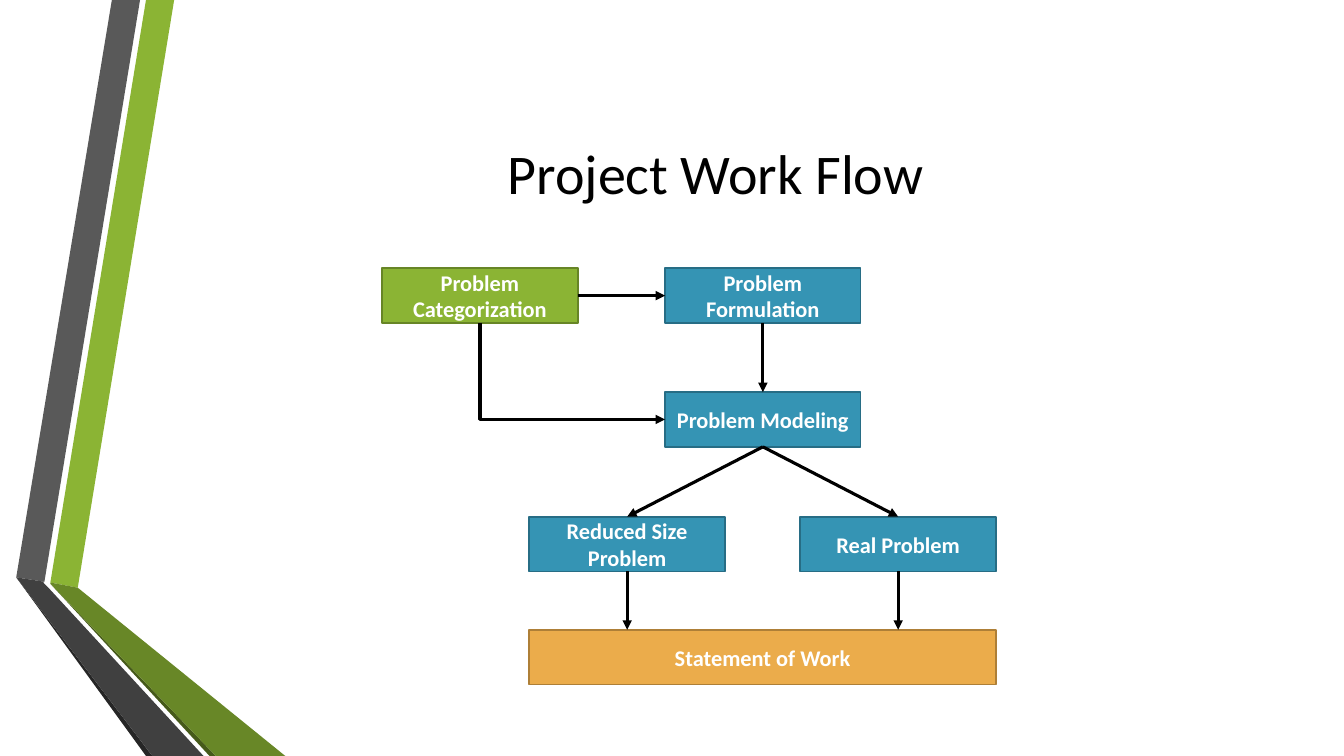
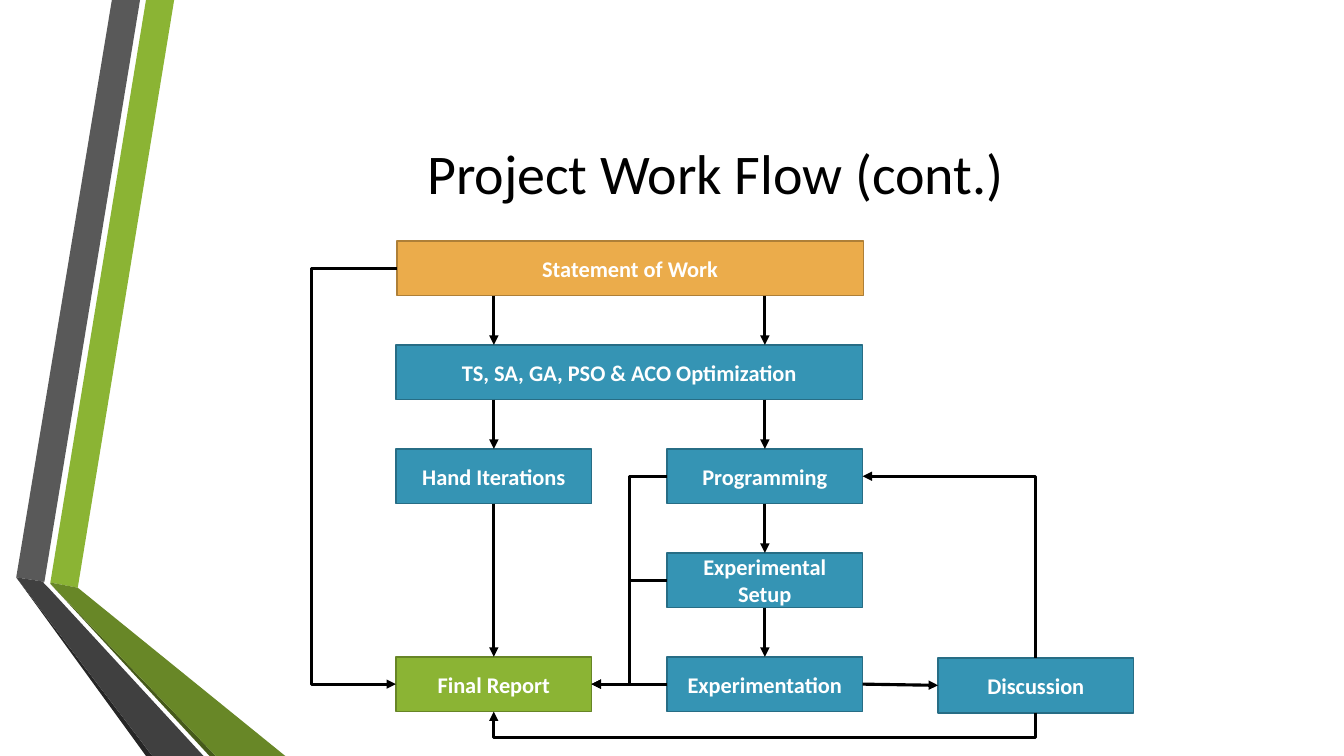
from dataclasses import dataclass

from lxml import etree
from pptx import Presentation
from pptx.dml.color import RGBColor
from pptx.enum.shapes import MSO_CONNECTOR, MSO_SHAPE
from pptx.enum.text import MSO_ANCHOR, PP_ALIGN
from pptx.oxml.ns import qn
from pptx.util import Cm, Pt

RECTANGLE = MSO_SHAPE.RECTANGLE
STRAIGHT, ELBOW = MSO_CONNECTOR.STRAIGHT, MSO_CONNECTOR.ELBOW
MIDDLE, CENTER = MSO_ANCHOR.MIDDLE, PP_ALIGN.CENTER
TITLE_ONLY = 5
TOP, LEFT, BOTTOM, RIGHT = range(4)  # connection sites of a rectangle
CORNER = "corner"


@dataclass(frozen=True)
class Theme:
    """Colours, type sizes and line widths of the deck."""
    font: str = "Calibri"
    title_size: int = 40
    box_size: int = 16
    border: float = 1.25
    arrow: float = 2.25
    ink: str = "000000"
    paper: str = "FFFFFF"
    blue: tuple = ("3594B4", "276D85")
    green: tuple = ("8BB434", "678526")
    orange: tuple = ("EBAC4B", "AE7F37")


THEME = Theme()

# Lengths are in centimetres.
PAGE_WIDTH, PAGE_HEIGHT = 33.87, 19.05
TITLE_FRAME = (4.11, 1.9, 27.84, 4.88)
BOX_WIDTH, WIDE_WIDTH, BOX_HEIGHT = 4.93, 11.76, 1.38

# Ribbon outlines are in hundredths of a centimetre.
RIBBONS = [
    ("8BB434", [(127, 1468), (196, 1481), (439, 0), (368, 0)]),
    ("595959", [(353, 0), (282, 0), (41, 1455), (112, 1466)]),
    ("262626", [(41, 1455), (368, 1905), (384, 1905)]),
    ("465A1A", [(127, 1471), (528, 1905), (544, 1905)]),
    ("688727", [(127, 1471), (544, 1905), (719, 1905), (196, 1481), (127, 1468)]),
    ("404040", [(513, 1905), (122, 1481), (109, 1468), (112, 1466),
                (41, 1455), (384, 1905)]),
]

PLAN_LEFT = 13.34
PLAN_RIGHT = PLAN_LEFT + WIDE_WIDTH - BOX_WIDTH
WORK_LEFT, WORK_TOP, WORK_PITCH = 9.98, 6.07, 2.62
WORK_MIDDLE = WORK_LEFT + WIDE_WIDTH - BOX_WIDTH
WORK_RIGHT = 2 * WORK_MIDDLE - WORK_LEFT
WORK_ROWS = [WORK_TOP + row * WORK_PITCH for row in range(5)]

# Boxes: text, left, top, width, colours.
# Flows: start, end, route. An end is (box, side) or (box, side, box to line up
# with); a route is None, CORNER or the position of the middle leg.
PAGES = [
    {
        "title": "Project Work Flow",
        "boxes": [
            ("Problem Categorization", 9.63, 6.76, BOX_WIDTH, THEME.green),
            ("Problem Formulation", 16.76, 6.76, BOX_WIDTH, THEME.blue),
            ("Problem Modeling", 16.76, 9.88, BOX_WIDTH, THEME.blue),
            ("Reduced Size Problem", PLAN_LEFT, 13.02, BOX_WIDTH, THEME.blue),
            ("Real Problem", PLAN_RIGHT, 13.02, BOX_WIDTH, THEME.blue),
            ("Statement of Work", PLAN_LEFT, 15.87, WIDE_WIDTH, THEME.orange),
        ],
        "flows": [
            (("Problem Categorization", RIGHT), ("Problem Formulation", LEFT), None),
            (("Problem Categorization", BOTTOM), ("Problem Modeling", LEFT), CORNER),
            (("Problem Formulation", BOTTOM), ("Problem Modeling", TOP), None),
            (("Problem Modeling", BOTTOM), ("Reduced Size Problem", TOP), None),
            (("Problem Modeling", BOTTOM), ("Real Problem", TOP), None),
            (("Reduced Size Problem", BOTTOM),
             ("Statement of Work", TOP, "Reduced Size Problem"), None),
            (("Real Problem", BOTTOM),
             ("Statement of Work", TOP, "Real Problem"), None),
        ],
    },
    {
        "title": "Project Work Flow (cont.)",
        "boxes": [
            ("Statement of Work", WORK_LEFT + 0.02, WORK_ROWS[0], WIDE_WIDTH,
             THEME.orange),
            ("TS, SA, GA, PSO & ACO Optimization", WORK_LEFT, WORK_ROWS[1],
             WIDE_WIDTH, THEME.blue),
            ("Hand Iterations", WORK_LEFT, WORK_ROWS[2], BOX_WIDTH, THEME.blue),
            ("Programming", WORK_MIDDLE, WORK_ROWS[2], BOX_WIDTH, THEME.blue),
            ("Experimental Setup", WORK_MIDDLE, WORK_ROWS[3], BOX_WIDTH, THEME.blue),
            ("Final Report", WORK_LEFT, WORK_ROWS[4], BOX_WIDTH, THEME.green),
            ("Experimentation", WORK_MIDDLE, WORK_ROWS[4], BOX_WIDTH, THEME.blue),
            ("Discussion", WORK_RIGHT, WORK_ROWS[4] + 0.03, BOX_WIDTH, THEME.blue),
        ],
        "flows": [
            *((("Statement of Work", BOTTOM, column),
               ("TS, SA, GA, PSO & ACO Optimization", TOP, column), None)
              for column in ("Hand Iterations", "Programming")),
            *((("TS, SA, GA, PSO & ACO Optimization", BOTTOM, column),
               (column, TOP), None)
              for column in ("Hand Iterations", "Programming")),
            (("Hand Iterations", BOTTOM), ("Final Report", TOP), None),
            (("Programming", BOTTOM), ("Experimental Setup", TOP), None),
            (("Experimental Setup", BOTTOM), ("Experimentation", TOP), None),
            (("Experimentation", RIGHT), ("Discussion", LEFT), None),
            (("Experimentation", LEFT), ("Final Report", RIGHT), None),
            (("Programming", LEFT), ("Final Report", RIGHT), 15.87),
            (("Experimental Setup", LEFT), ("Final Report", RIGHT), 15.87),
            (("Discussion", TOP), ("Programming", RIGHT), CORNER),
            (("Discussion", BOTTOM), ("Final Report", BOTTOM), 18.59),
            (("Statement of Work", LEFT), ("Final Report", LEFT), 7.85),
        ],
    },
]


def paint(shape, color):
    """Give a shape a plain fill without a shadow."""
    shape.shadow.inherit = False
    shape.fill.solid()
    shape.fill.fore_color.rgb = RGBColor.from_string(color)


def write(shape, text, size, color, bold):
    """Write one centred paragraph into a shape."""
    frame = shape.text_frame
    frame.word_wrap = True
    frame.vertical_anchor = MIDDLE
    para = frame.paragraphs[0]
    para.text = text
    para.alignment = CENTER
    para.font.name = THEME.font
    para.font.size = Pt(size)
    para.font.bold = bold
    para.font.color.rgb = RGBColor.from_string(color)


def prepare_layout(layout, page):
    """Place the title and the ribbons on the layout, building them on a page."""
    title = next(item for item in layout.placeholders
                 if item.placeholder_format.idx == 0)
    title.left, title.top, title.width, title.height = map(Cm, TITLE_FRAME)
    for position, (color, points) in enumerate(RIBBONS, start=2):
        outline = page.shapes.build_freeform(*points[0], scale=Cm(0.01))
        outline.add_line_segments(points[1:], close=True)
        ribbon = outline.convert_to_shape()
        paint(ribbon, color)
        ribbon.line.fill.background()
        layout.shapes.element.insert(position, ribbon.element)


def add_box(page, text, left, top, width, colors):
    """Add one labelled step of the work flow."""
    box = page.shapes.add_shape(RECTANGLE, Cm(left), Cm(top), Cm(width),
                                Cm(BOX_HEIGHT))
    fill, border = colors
    paint(box, fill)
    box.line.color.rgb = RGBColor.from_string(border)
    box.line.width = Pt(THEME.border)
    write(box, text, THEME.box_size, THEME.paper, True)
    return box


def locate(boxes, name, side, column=None):
    """Return the point on a side of a box, in line with a column if named."""
    box, guide = boxes[name], boxes[column or name]
    x = {LEFT: box.left, RIGHT: box.left + box.width}.get(
        side, guide.left + guide.width // 2)
    y = {TOP: box.top, BOTTOM: box.top + box.height}.get(
        side, box.top + box.height // 2)
    return x, y


def bend(connector, start, end, upright, route):
    """Shape an elbow: turn it if it leaves upright, then set its middle leg."""
    properties = connector.element.spPr
    geometry = properties.find(qn("a:prstGeom"))
    if upright:
        across, down = end[0] - start[0], end[1] - start[1]
        connector.width, connector.height = abs(down), abs(across)
        connector.left = (start[0] + end[0] - abs(down)) // 2
        connector.top = (start[1] + end[1] - abs(across)) // 2
        frame = properties.find(qn("a:xfrm"))
        frame.set("rot", str(90 * 60000))
        frame.set("flipH", str(int(down < 0)))
        frame.set("flipV", str(int(across > 0)))
    if route == CORNER:
        geometry.set("prst", "bentConnector2")
    else:
        axis = int(upright)
        share = (Cm(route) - start[axis]) / (end[axis] - start[axis])
        etree.SubElement(geometry.find(qn("a:avLst")), qn("a:gd"),
                         name="adj1", fmla=f"val {round(share * 100000)}")


def add_flow(page, boxes, source, target, route):
    """Draw an arrow between two boxes, glued wherever it meets a site."""
    start, end = locate(boxes, *source), locate(boxes, *target)
    connector = page.shapes.add_connector(
        STRAIGHT if route is None else ELBOW, *start, *end)
    if len(source) == 2:
        connector.begin_connect(boxes[source[0]], source[1])
    if len(target) == 2:
        connector.end_connect(boxes[target[0]], target[1])
    if route is not None:
        bend(connector, start, end, source[1] in (TOP, BOTTOM), route)
    connector.line.color.rgb = RGBColor.from_string(THEME.ink)
    connector.line.width = Pt(THEME.arrow)
    properties = connector.element.spPr
    etree.SubElement(properties.find(qn("a:ln")), qn("a:tailEnd"), type="triangle")
    etree.SubElement(properties, qn("a:effectLst"))


def build():
    """Build the deck and save it."""
    deck = Presentation()
    deck.slide_width, deck.slide_height = Cm(PAGE_WIDTH), Cm(PAGE_HEIGHT)
    layout = deck.slide_layouts[TITLE_ONLY]
    for number, content in enumerate(PAGES):
        page = deck.slides.add_slide(layout)
        if number == 0:
            prepare_layout(layout, page)
        write(page.shapes.title, content["title"], THEME.title_size, THEME.ink, False)
        boxes = {entry[0]: add_box(page, *entry) for entry in content["boxes"]}
        for flow in content["flows"]:
            add_flow(page, boxes, *flow)
    deck.save("out.pptx")


build()
